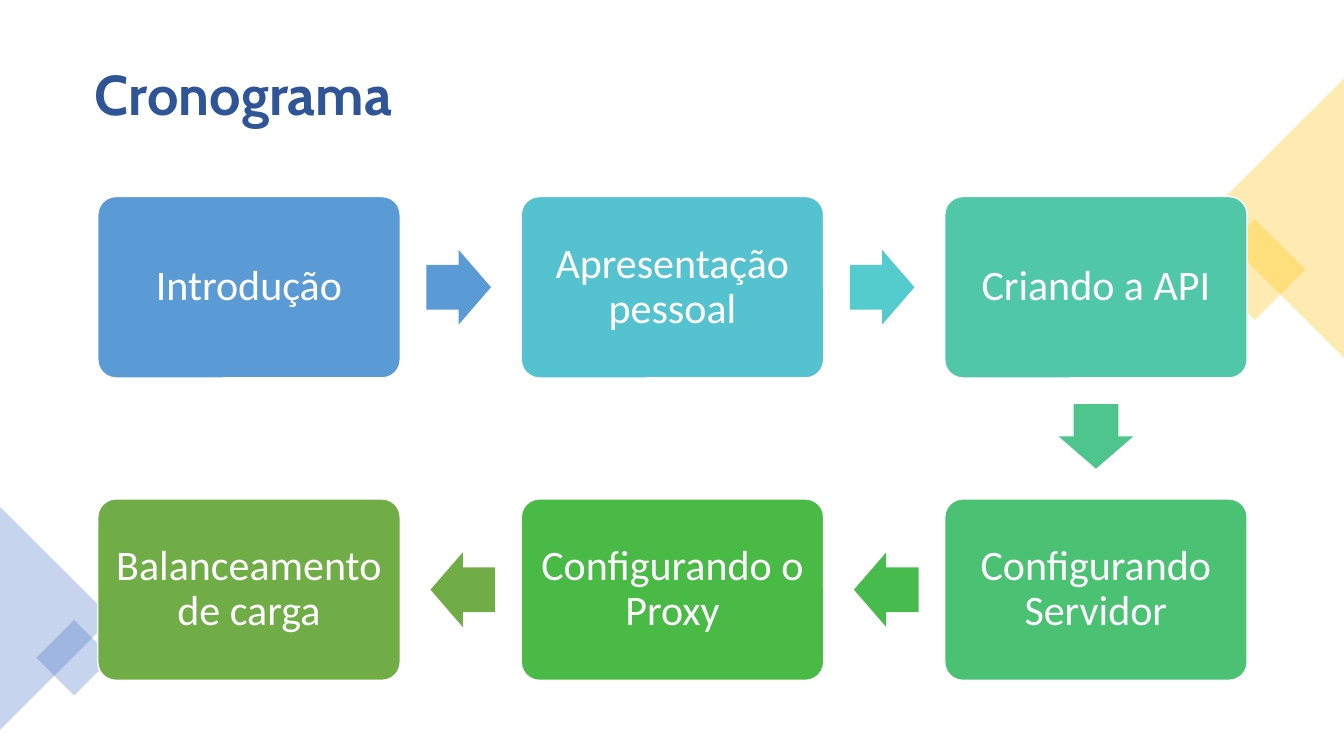
from lxml import etree
from pptx import Presentation
from pptx.dml.color import RGBColor
from pptx.enum.shapes import MSO_SHAPE
from pptx.enum.text import MSO_ANCHOR, PP_ALIGN
from pptx.oxml.ns import qn
from pptx.util import Inches, Pt

RECT = MSO_SHAPE.RECTANGLE
TRIANGLE = MSO_SHAPE.ISOSCELES_TRIANGLE
ROUNDED = MSO_SHAPE.ROUNDED_RECTANGLE
ARROW = MSO_SHAPE.RIGHT_ARROW
MIDDLE = MSO_ANCHOR.MIDDLE
CENTER = PP_ALIGN.CENTER

WHITE = RGBColor(0xFF, 0xFF, 0xFF)
NAVY = RGBColor(0x2F, 0x55, 0x97)
GOLD = RGBColor(0xFF, 0xC0, 0x00)
BLUE = RGBColor(0x44, 0x72, 0xC4)

# Schedule steps: column, row, text, fill
STEPS = [
    (0, 0, "Introdução", RGBColor(0x5B, 0x9B, 0xD5)),
    (1, 0, "Apresentação pessoal", RGBColor(0x55, 0xC3, 0xCF)),
    (2, 0, "Criando a API", RGBColor(0x50, 0xC8, 0xA7)),
    (2, 1, "Configurando Servidor", RGBColor(0x4B, 0xC1, 0x74)),
    (1, 1, "Configurando o Proxy", RGBColor(0x4A, 0xBA, 0x46)),
    (0, 1, "Balanceamento de carga", RGBColor(0x70, 0xAD, 0x47)),
]
ARROW_COLORS = [
    RGBColor(0x5B, 0x9B, 0xD5),
    RGBColor(0x54, 0xCC, 0xCD),
    RGBColor(0x4D, 0xC5, 0x8D),
    RGBColor(0x48, 0xBB, 0x4F),
    RGBColor(0x70, 0xAD, 0x47),
]
# Direction of travel (columns, rows) to rotation
ROTATIONS = {(1, 0): 0, (0, 1): 90, (-1, 0): 180}

LEFT, TOP = 0.97, 1.95
BOX_W, BOX_H = 3, 1.8
PITCH_X, PITCH_Y = 4.2, 3
ARROW_W, ARROW_H = 0.64, 0.74
ARROW_SHIFT = 0.02  # arrows sit slightly nearer the step they leave


def add_filled(slide, kind, x, y, w, h, color, rotation=0):
    s = slide.shapes.add_shape(kind, Inches(x), Inches(y), Inches(w), Inches(h))
    s.shadow.inherit = False
    s.rotation = rotation
    s.fill.solid()
    s.fill.fore_color.rgb = color
    s.line.fill.background()
    return s


def add_decoration(slide, kind, x, y, w, h, color, rotation):
    s = add_filled(slide, kind, x, y, w, h, color, rotation)
    clr = s.fill._xPr.find(qn("a:solidFill"))[0]
    etree.SubElement(clr, qn("a:alpha"), val="30000")


def set_text(tf, text, size, font, color, bold=False):
    tf.word_wrap = True
    tf.text = text
    p = tf.paragraphs[0]
    p.line_spacing = 0.9
    r = p.runs[0]
    r.font.size = Pt(size)
    r.font.name = font
    r.font.bold = bold
    r.font.color.rgb = color
    return p


def add_title(slide, text):
    s = slide.shapes.add_textbox(Inches(0.84), Inches(0.62), Inches(11.9), Inches(0.58))
    set_text(s.text_frame, text, 40, "Cabin", NAVY, bold=True)


def add_step(slide, col, row, text, color):
    s = add_filled(slide, ROUNDED, LEFT + col * PITCH_X, TOP + row * PITCH_Y,
                   BOX_W, BOX_H, color)
    s.adjustments[0] = 0.1
    s.line.color.rgb = WHITE
    s.line.width = Pt(1)
    tf = s.text_frame
    tf.vertical_anchor = MIDDLE
    tf.margin_left = tf.margin_right = Inches(0.12)
    tf.margin_top = tf.margin_bottom = Inches(0.12)
    p = set_text(tf, text, 30, "Calibri", WHITE)
    p.alignment = CENTER


def add_arrow(slide, start, end, color):
    (col, row), (next_col, next_row) = start, end
    dx, dy = next_col - col, next_row - row
    # Centre of the gap between the two steps
    cx = LEFT + BOX_W / 2 + (col + next_col) / 2 * PITCH_X - dx * ARROW_SHIFT
    cy = TOP + BOX_H / 2 + (row + next_row) / 2 * PITCH_Y - dy * ARROW_SHIFT
    s = add_filled(slide, ARROW, cx - ARROW_W / 2, cy - ARROW_H / 2,
                   ARROW_W, ARROW_H, color, ROTATIONS[dx, dy])
    s.adjustments[0] = 0.6
    s.adjustments[1] = 0.5


def main():
    prs = Presentation()
    prs.slide_width, prs.slide_height = Inches(13.33), Inches(7.5)
    slide = prs.slides.add_slide(prs.slide_layouts[6])

    # Corner decorations
    add_decoration(slide, RECT, 12.09, 2.32, 0.71, 0.71, GOLD, 45)
    add_decoration(slide, TRIANGLE, 11.25, 1.47, 2.77, 1.39, GOLD, 270)
    add_decoration(slide, TRIANGLE, -0.55, 5.58, 2.21, 1.11, BLUE, 90)
    add_decoration(slide, RECT, 0.47, 6.26, 0.53, 0.53, BLUE, 45)

    # Schedule
    for step in STEPS:
        add_step(slide, *step)
    for start, end, color in zip(STEPS, STEPS[1:], ARROW_COLORS):
        add_arrow(slide, start[:2], end[:2], color)

    add_title(slide, "Cronograma")
    prs.save("out.pptx")


if __name__ == "__main__":
    main()
